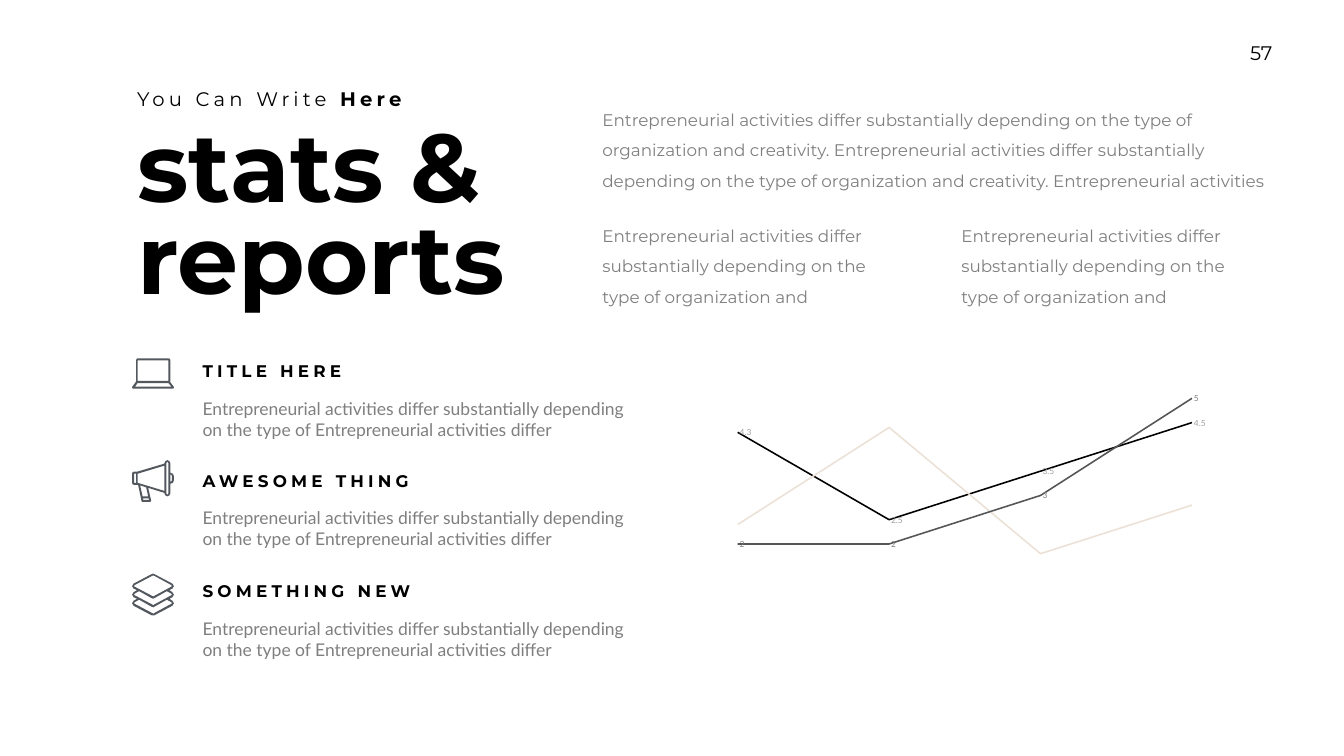
from lxml import etree
from pptx import Presentation
from pptx.chart.data import CategoryChartData
from pptx.dml.color import RGBColor
from pptx.enum.chart import XL_CHART_TYPE, XL_MARKER_STYLE
from pptx.enum.text import MSO_ANCHOR, MSO_AUTO_SIZE, PP_ALIGN
from pptx.oxml.ns import qn
from pptx.util import Inches, Pt

LINE, NO_MARKER = XL_CHART_TYPE.LINE, XL_MARKER_STYLE.NONE
TOP, NO_FIT = MSO_ANCHOR.TOP, MSO_AUTO_SIZE.NONE
LEFT, CENTER = PP_ALIGN.LEFT, PP_ALIGN.CENTER

COLORS = {"ink": "000000", "body": "7F7F7F", "icon": "53585F",
          "sand": "ECE1D7", "slate": "545557", "label": "9F9F9F"}
HEAD_FONT, BODY_FONT = "Montserrat", "Lato"

# Icon contours in hundredths of an inch; inner contours cut holes.
LAPTOP = [
    [(0, 57), (8, 46), (8, 4), (9, 1), (11, 0), (72, 0), (75, 1), (76, 4),
     (76, 45), (75, 46), (83, 57), (83, 59), (81, 60), (2, 60), (0, 59)],
    [(6, 56), (11, 49), (72, 49), (78, 56)],
    [(11, 4), (72, 4), (72, 45), (11, 45)],
]
MEGAPHONE = [
    [(76, 25), (76, 6), (74, 2), (70, 0), (66, 2), (64, 6), (64, 7), (10, 23),
     (4, 23), (1, 24), (0, 27), (0, 45), (1, 48), (4, 49), (12, 49), (19, 82),
     (21, 83), (36, 83), (38, 81), (32, 55), (64, 65), (64, 66), (66, 70),
     (70, 72), (74, 70), (76, 66), (76, 47), (81, 45), (83, 40), (83, 32),
     (81, 27)],
    [(79, 40), (79, 32), (78, 29), (76, 28), (76, 43), (78, 42)],
    [(72, 66), (71, 68), (69, 68), (68, 66), (68, 6), (69, 4), (71, 4), (72, 6)],
    [(64, 61), (11, 45), (11, 27), (64, 11)],
    [(32, 72), (21, 72), (16, 50), (28, 54)],
    [(34, 79), (22, 79), (22, 76), (33, 76)],
    [(8, 45), (4, 45), (4, 27), (8, 27)],
]
CHEVRON = [(78, 43), (43, 62), (42, 63), (41, 62), (5, 43), (4, 42), (5, 40),
           (14, 35), (39, 49), (42, 50), (44, 49), (69, 35), (78, 40), (79, 42)]
LAYERS = [
    [(83, 25), (80, 20), (44, 1), (42, 0), (39, 1), (3, 20), (0, 25), (3, 30),
     (10, 33), (3, 37), (0, 42), (3, 47), (10, 50), (3, 54), (0, 59), (3, 64),
     (39, 83), (42, 83), (44, 83), (80, 64), (83, 59), (80, 54), (74, 50),
     (80, 47), (83, 42), (80, 37), (74, 33), (80, 30)],
    [(4, 25), (5, 23), (41, 4), (43, 4), (78, 23), (79, 25), (78, 26),
     (43, 45), (42, 46), (41, 45), (5, 26)],
    CHEVRON,
    [(x, y + 17) for x, y in CHEVRON],
]

PHRASE = "Entrepreneurial activities differ substantially depending on the type of"
INTRO = f"{PHRASE} organization and creativity. " * 2 + "Entrepreneurial activities"
COLUMN = f"{PHRASE} organization and"
FEATURE = f"{PHRASE} Entrepreneurial activities differ"

# heading, heading top, heading width, icon, icon top
FEATURES = [
    ("TITLE HERE", 7.11, 3.02, LAPTOP, 7.11),
    ("AWESOME THING", 9.29, 4.34, MEGAPHONE, 9.13),
    ("SOMETHING NEW", 11.48, 4.34, LAYERS, 11.38),
]
# name, values, line colour, label colour
SERIES = [
    ("Series 1", (4.3, 2.5, 3.5, 4.5), "ink", "label"),
    ("Series 2", (2.4, 4.4, 1.8, 2.8), "sand", None),
    ("Series 3", (2, 2, 3, 5), "slate", "body"),
]


def rgb(name):
    return RGBColor.from_string(COLORS[name])


def set_font(font, size, color, name=HEAD_FONT, bold=False):
    font.size, font.name, font.bold = Pt(size), name, bold
    font.color.rgb = rgb(color)


class SlideBuilder:
    def __init__(self, slide):
        self.slide = slide

    def title(self, lines, x, y, w, h):
        sp = self.slide.shapes.title
        sp.left, sp.top, sp.width, sp.height = map(Inches, (x, y, w, h))
        tf = sp.text_frame
        tf.auto_size, tf.vertical_anchor, tf.word_wrap = NO_FIT, TOP, True
        tf.text = "\n".join(lines)
        for p in tf.paragraphs:
            p.alignment, p.line_spacing = LEFT, Pt(130.6)
            p.space_before = Pt(0)
            set_font(p.font, 138, "ink", bold=True)

    def text(self, text, x, y, w, h, size=24, color="body", font=HEAD_FONT,
             bold=False, spacing=None, tracking=0, wrap=True, align=LEFT, bold_end=""):
        """Add a text box; bold_end is a bold run closing the line."""
        sp = self.slide.shapes.add_textbox(*map(Inches, (x, y, w, h)))
        tf = sp.text_frame
        tf.word_wrap = wrap
        p = tf.paragraphs[0]
        p.alignment, p.line_spacing = align, spacing
        set_font(p.font, size, color, font, bold)
        for part in filter(None, (text, bold_end)):
            r = p.add_run()
            r.text = part
            if tracking:
                r._r.get_or_add_rPr().set("spc", str(tracking * 100))
        if bold_end:
            r.font.bold = True

    def icon(self, contours, x, y):
        first, *holes = contours
        fb = self.slide.shapes.build_freeform(*first[0], scale=Inches(0.01))
        fb.add_line_segments(first[1:], close=True)
        for hole in holes:
            fb.move_to(*hole[0])
            fb.add_line_segments(hole[1:], close=True)
        sp = fb.convert_to_shape(Inches(x), Inches(y))
        sp.shadow.inherit = False
        sp.fill.solid()
        sp.fill.fore_color.rgb = rgb("icon")
        sp.line.fill.background()

    def line_chart(self, x, y, w, h):
        data = CategoryChartData()
        data.categories = ["1", "2", "3", "4"]
        for name, values, *_ in SERIES:
            data.add_series(name, values)
        chart = self.slide.shapes.add_chart(
            LINE, *map(Inches, (x, y, w, h)), data).chart
        chart.has_legend = chart.has_title = False
        set_font(chart.font, 10, "body", BODY_FONT)
        for axis in (chart.category_axis, chart.value_axis):
            axis.has_major_gridlines = axis.visible = False
        chart.value_axis.minimum_scale, chart.value_axis.maximum_scale = 0, 6
        plot = chart.plots[0]
        plot.vary_by_categories = False
        for series, (_, _, color, label_color) in zip(plot.series, SERIES):
            series.smooth = False
            series.marker.style = NO_MARKER
            series.format.line.color.rgb = rgb(color)
            series.format.line.width = Pt(2.25)
            if label_color:
                labels = series.data_labels
                labels.show_value = True
                set_font(labels.font, 12, label_color, BODY_FONT)
        self.place_plot(chart, x=0.013, y=0, w=0.973, h=0.931)

    @staticmethod
    def place_plot(chart, **fractions):
        """Fix the inner plot area as fractions of the chart."""
        area = chart._chartSpace.chart.plotArea
        for old in area.findall(qn("c:layout")):
            area.remove(old)
        layout = etree.Element(qn("c:layout"))
        manual = etree.SubElement(layout, qn("c:manualLayout"))
        settings = {"layoutTarget": "inner", "xMode": "edge", "yMode": "edge", **fractions}
        for tag, value in settings.items():
            etree.SubElement(manual, qn(f"c:{tag}")).set("val", str(value))
        area.insert(0, layout)


def main():
    prs = Presentation()
    prs.slide_width, prs.slide_height = Inches(26.66), Inches(15)
    s = SlideBuilder(prs.slides.add_slide(prs.slide_layouts[5]))

    s.text("57", 24.46, 0.76, 1.12, 0.67, 28, "ink", wrap=False, align=CENTER)
    s.text("You Can Write ", 2.62, 1.67, 6.77, 0.57, 28, "ink",
           tracking=6, bold_end="Here")
    s.title(["stats &", "reports"], 2.62, 2.54, 9.23, 3.78)
    s.text(INTRO, 11.85, 1.93, 13.47, 1.92, spacing=1.5)
    for x in (11.85, 18.97):
        s.text(COLUMN, x, 4.23, 5.79, 1.92, spacing=1.5)
    for heading, top, width, icon, icon_top in FEATURES:
        s.icon(icon, 2.62, icon_top)
        s.text(heading, 3.92, top, width, 0.5, color="ink", bold=True,
               tracking=6, wrap=False)
        s.text(FEATURE, 3.92, top + 0.73, 8.58, 0.94, 25, font=BODY_FONT)
    s.line_chart(12.97, 6.94, 12.35, 6.21)
    prs.save("out.pptx")


if __name__ == "__main__":
    main()
